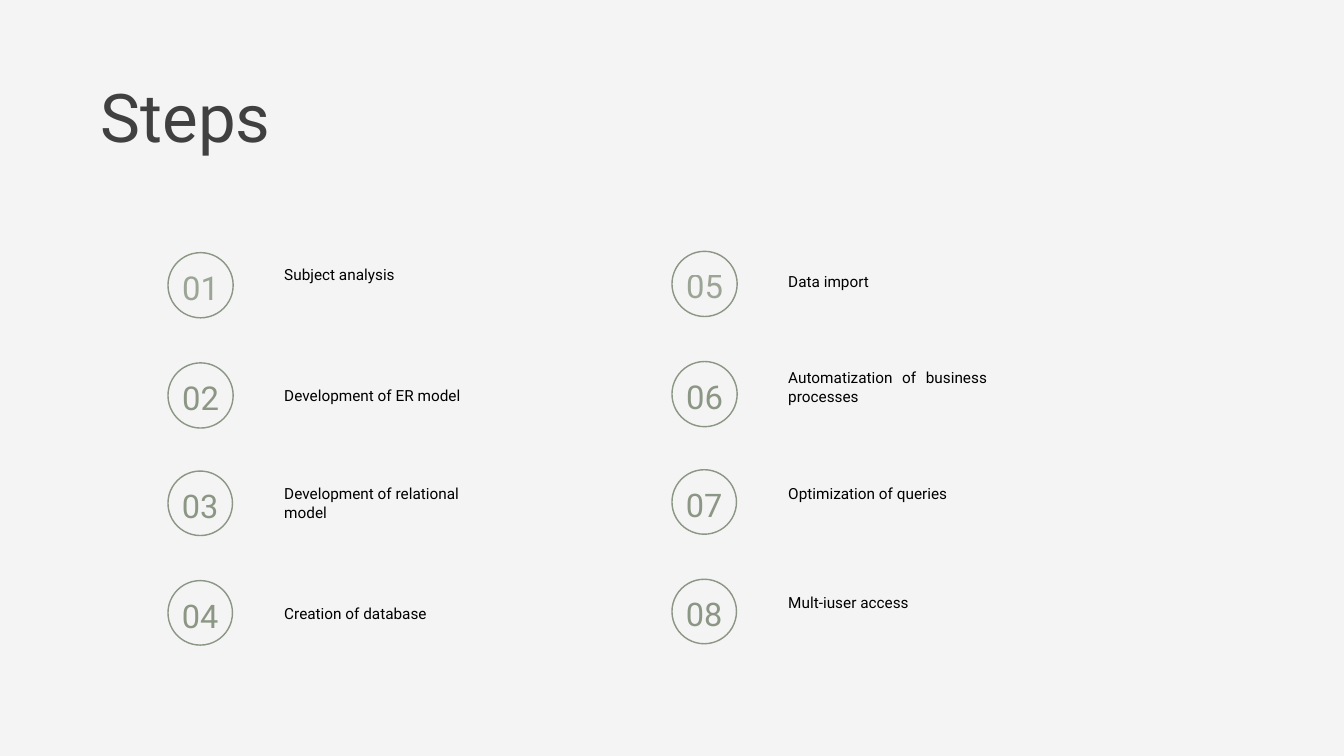
"""Build the "Steps" slide: eight numbered steps in two columns."""
from lxml import etree
from pptx import Presentation
from pptx.dml.color import RGBColor
from pptx.enum.shapes import MSO_SHAPE
from pptx.enum.text import MSO_ANCHOR, PP_ALIGN
from pptx.oxml.ns import qn
from pptx.util import Inches, Pt


def color(hex_value):
    return RGBColor.from_string(hex_value)


def write(shape, text, size, spacing, hex_value, alignment=PP_ALIGN.LEFT):
    frame = shape.text_frame
    frame_format = {
        "margin_left": 0, "margin_top": 0, "margin_right": 0, "margin_bottom": 0,
        "word_wrap": True, "vertical_anchor": MSO_ANCHOR.TOP,
    }
    for name, value in frame_format.items():
        setattr(frame, name, value)
    paragraph = frame.paragraphs[0]
    paragraph.alignment = alignment
    paragraph.line_spacing = Pt(spacing)
    run = paragraph.add_run()
    run.text = text
    for name, value in {"name": "Roboto", "size": Pt(size), "bold": False}.items():
        setattr(run.font, name, value)
    run.font.color.rgb = color(hex_value)
    return run


SAGE = "8B9684"
COLUMN_LEFTS = [2.5, 10]
RIGHT_COLUMN_RISE = 0.02
LABEL_OFFSET = 1.73
ROWS = [
    {"top": 3.76, "diameter": 0.97, "number_drop": 0.12, "size": 35.2, "spacing": 49.4, "opacity": 83},
    {"top": 5.4, "diameter": 0.97, "number_drop": 0.12, "size": 35.2, "spacing": 49.3, "opacity": 100},
    {"top": 7.01, "diameter": 0.96, "number_drop": 0.13, "size": 34.8, "spacing": 48.7, "opacity": 100},
    {"top": 8.64, "diameter": 0.96, "number_drop": 0.13, "size": 34.8, "spacing": 48.7, "opacity": 100},
]
STEPS = [
    ("Subject analysis", 3.94, 0.28, PP_ALIGN.LEFT),
    ("Development of ER model", 5.74, 0.28, PP_ALIGN.LEFT),
    ("Development of relational model", 7.2, 0.56, PP_ALIGN.LEFT),
    ("Creation of database", 8.98, 0.28, PP_ALIGN.LEFT),
    ("Data import", 4.05, 0.28, PP_ALIGN.LEFT),
    ("Automatization of business processes", 5.47, 0.56, PP_ALIGN.JUSTIFY),
    ("Optimization of queries", 7.2, 0.28, PP_ALIGN.LEFT),
    ("Mult-iuser access", 8.82, 0.28, PP_ALIGN.LEFT),
]

presentation = Presentation()
presentation.slide_width = Inches(20)
presentation.slide_height = Inches(11.25)
slide = presentation.slides.add_slide(presentation.slide_layouts[5])
slide.background.fill.solid()
slide.background.fill.fore_color.rgb = color("F4F4F4")

title = slide.shapes.title
for name, value in {"left": 1.5, "top": 1.1, "width": 9.95, "height": 1.22}.items():
    setattr(title, name, Inches(value))
write(title, "Steps", 72, 87.8, "404040")

for index, (text, label_top, label_height, alignment) in enumerate(STEPS):
    column, row_index = divmod(index, len(ROWS))
    row = ROWS[row_index]
    left = COLUMN_LEFTS[column]
    top = row["top"] - column * RIGHT_COLUMN_RISE
    diameter = Inches(row["diameter"])

    badge = slide.shapes.add_group_shape()
    circle = badge.shapes.add_shape(MSO_SHAPE.OVAL, Inches(left), Inches(top), diameter, diameter)
    circle.shadow.inherit = False
    circle.fill.background()
    circle.line.color.rgb = color(SAGE)
    circle.line.width = Pt(1.5)

    number = badge.shapes.add_textbox(
        Inches(left), Inches(top + row["number_drop"]), diameter, Inches(0.66))
    run = write(number, f"{index + 1:02}", row["size"], row["spacing"], SAGE, PP_ALIGN.CENTER)
    if row["opacity"] < 100:
        rgb_element = run.font.fill._xPr.find(qn("a:solidFill")).find(qn("a:srgbClr"))
        etree.SubElement(rgb_element, qn("a:alpha"), val=str(row["opacity"] * 1000))

    label = slide.shapes.add_textbox(
        Inches(left + LABEL_OFFSET), Inches(label_top), Inches(2.96), Inches(label_height))
    write(label, text, 16.4, 20.1, "000000", alignment)

presentation.save("out.pptx")
